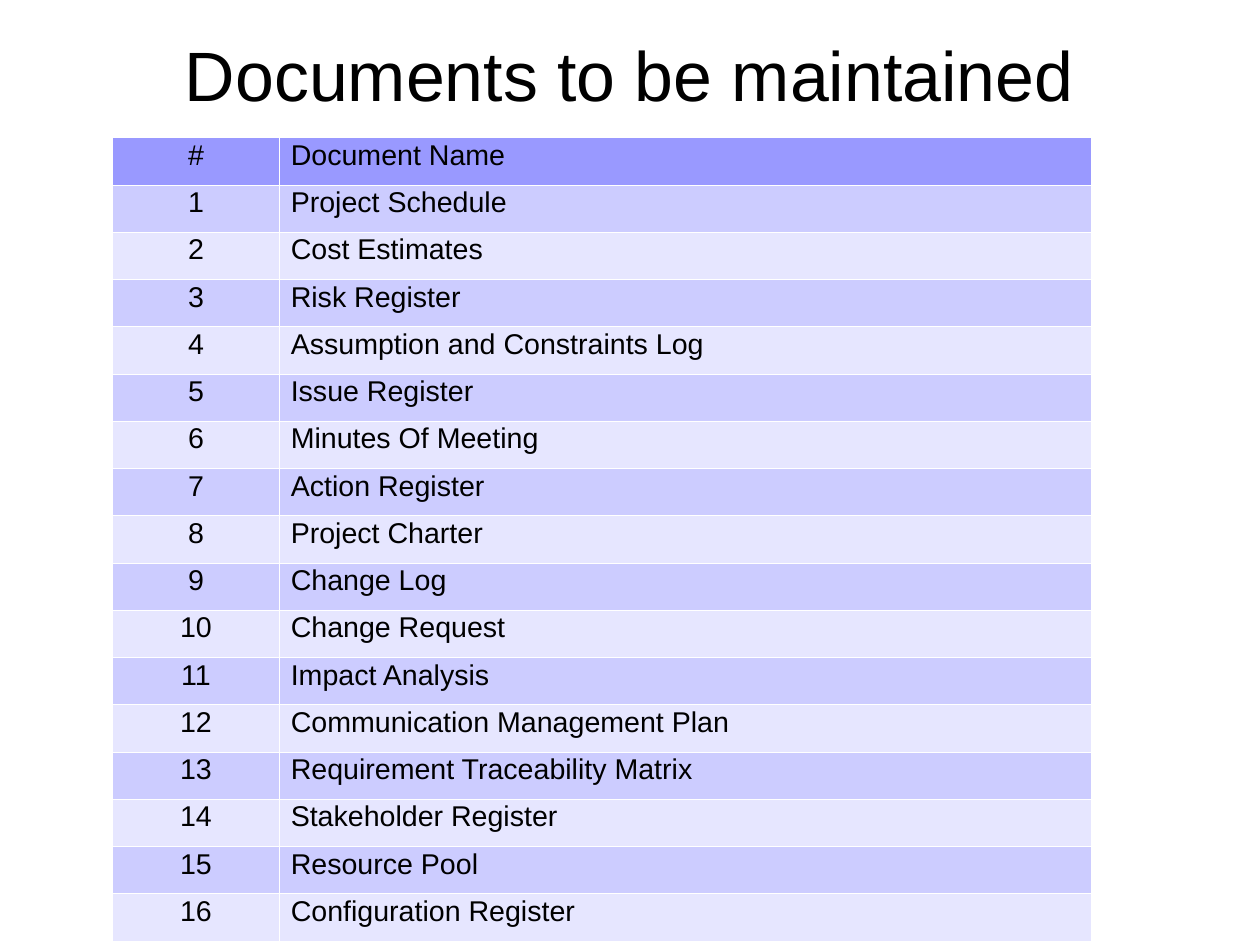
from lxml.etree import SubElement
from pptx import Presentation
from pptx.dml.color import RGBColor
from pptx.enum.text import MSO_ANCHOR as Anchor, MSO_AUTO_SIZE as AutoSize, PP_ALIGN as Align
from pptx.oxml.ns import qn
from pptx.util import Pt

COLORS = {
    "text": "000000",
    "page": "FFFFFF",
    "grid": "FFFFFF",
    "header": "9999FF",
    "odd": "CCCCFF",
    "even": "E6E6FF",
}
DOCUMENTS = [
    "Project Schedule", "Cost Estimates", "Risk Register",
    "Assumption and Constraints Log", "Issue Register", "Minutes Of Meeting",
    "Action Register", "Project Charter", "Change Log", "Change Request",
    "Impact Analysis", "Communication Management Plan",
    "Requirement Traceability Matrix", "Stakeholder Register",
    "Resource Pool", "Configuration Register",
]


def rgb(name):
    """Return the named colour."""
    return RGBColor.from_string(COLORS[name])


def write(frame, text, size=18, font="Arial", color="text", align=Align.LEFT, spacing=1.0):
    """Put one formatted paragraph into a text frame."""
    paragraph = frame.paragraphs[0]
    paragraph.alignment = align
    paragraph.line_spacing = spacing
    run = paragraph.add_run()
    run.text = text
    run.font.size = Pt(size)
    run.font.name = font
    run.font.color.rgb = rgb(color)


def set_margins(target, left, top, right, bottom):
    """Set the inner margins of a text frame or a cell, in points."""
    target.margin_left, target.margin_right = Pt(left), Pt(right)
    target.margin_top, target.margin_bottom = Pt(top), Pt(bottom)


def outline(cell, color="grid", width=0.06):
    """Draw a thin line on all four sides of a cell."""
    properties = cell._tc.get_or_add_tcPr()
    for side in ("lnL", "lnR", "lnT", "lnB"):
        line = SubElement(properties, qn(f"a:{side}"), w=str(Pt(width)))
        fill = SubElement(line, qn("a:solidFill"))
        SubElement(fill, qn("a:srgbClr"), val=COLORS[color])


class Page:
    """Holds the current slide and the style of its elements."""

    title_size = 44
    title_spacing = 0.93
    cell_size = 18
    cell_spacing = 0.87
    cell_margins = (7.2, 3.6, 7.2, 3.6)

    def __init__(self, deck):
        """Add a title-only slide with a plain background."""
        self.slide = deck.slides.add_slide(deck.slide_layouts[5])
        background = self.slide.background.fill
        background.solid()
        background.fore_color.rgb = rgb("page")

    def title(self, text, left, top, width, height):
        """Move and fill the title placeholder."""
        heading = self.slide.shapes.title
        heading.left, heading.top = Pt(left), Pt(top)
        heading.width, heading.height = Pt(width), Pt(height)
        frame = heading.text_frame
        frame.word_wrap = True
        frame.auto_size = AutoSize.NONE
        frame.vertical_anchor = Anchor.MIDDLE
        set_margins(frame, 0, 3.6, 0, 0)
        write(frame, text, size=self.title_size, align=Align.CENTER, spacing=self.title_spacing)

    def table(self, rows, left, top, widths, row_height):
        """Add a table with a header, banded rows and a centred first column."""
        grid = self.slide.shapes.add_table(
            len(rows), len(widths), Pt(left), Pt(top),
            Pt(sum(widths)), Pt(row_height * len(rows))).table
        for column, width in zip(grid.columns, widths):
            column.width = Pt(width)
        for index, values in enumerate(rows):
            grid.rows[index].height = Pt(row_height)
            band = "header" if index == 0 else "odd" if index % 2 else "even"
            for position, value in enumerate(values):
                align = Align.LEFT if position else Align.CENTER
                self.cell(grid.cell(index, position), value, band, align)

    def cell(self, cell, text, band, align):
        """Format and fill one table cell."""
        outline(cell)
        cell.fill.solid()
        cell.fill.fore_color.rgb = rgb(band)
        cell.vertical_anchor = Anchor.TOP
        set_margins(cell, *self.cell_margins)
        write(cell.text_frame, text, size=self.cell_size, align=align, spacing=self.cell_spacing)


def main():
    """Build the slide and save it."""
    deck = Presentation()
    deck.slide_width, deck.slide_height = Pt(793.7), Pt(595.3)
    page = Page(deck)
    page.title("Documents to be maintained", 39.6, 14.4, 714.3, 65.5)
    numbered = [(str(number), name) for number, name in enumerate(DOCUMENTS, 1)]
    page.table([("#", "Document Name")] + numbered, 70.9, 86.6, (105.1, 511.2), 29.79)
    deck.save("out.pptx")


main()
